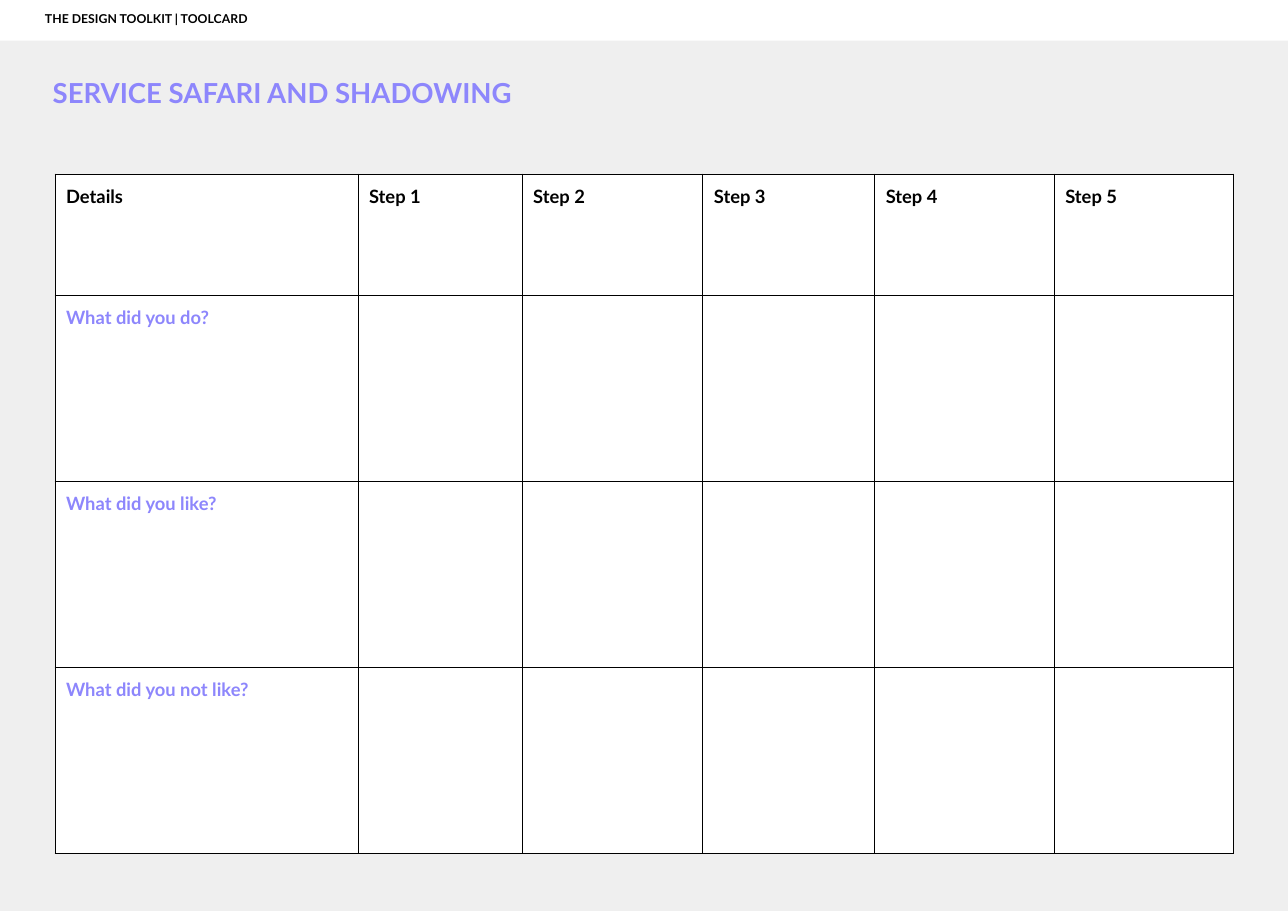
from dataclasses import dataclass

import lxml.etree
import pptx
import pptx.dml.color
import pptx.enum.shapes
import pptx.enum.text
import pptx.oxml.ns
import pptx.presentation
import pptx.shapes.autoshape
import pptx.slide
import pptx.table
import pptx.text.text
import pptx.util

EMU_PER_PX = 9144  # 100 px to the inch
SLIDE_WIDTH, SLIDE_HEIGHT = 1169, 827
INSET = 10
FONT_NAME = "Lato"

BLACK = pptx.dml.color.RGBColor(0x00, 0x00, 0x00)
WHITE = pptx.dml.color.RGBColor(0xFF, 0xFF, 0xFF)
GREY = pptx.dml.color.RGBColor(0xEF, 0xEF, 0xEF)
VIOLET = pptx.dml.color.RGBColor(0x8D, 0x86, 0xFC)

TABLE_LEFT, TABLE_TOP = 50, 158
COLUMN_WIDTHS = [275, 149, 164, 156, 163, 163]
ROW_HEIGHTS = [110, 169, 169, 169]
HEADINGS = ["Details"] + [f"Step {number}" for number in range(1, 6)]
QUESTIONS = ["What did you do?", "What did you like?", "What did you not like?"]


@dataclass(frozen=True)
class Box:
    left: int
    top: int
    width: int
    height: int


@dataclass(frozen=True)
class Label:
    text: str
    size: int
    color: pptx.dml.color.RGBColor
    indent: int = 0


def px(length: int) -> pptx.util.Emu:
    return pptx.util.Emu(length * EMU_PER_PX)


def write_label(frame: pptx.text.text.TextFrame, label: Label) -> None:
    paragraph = frame.paragraphs[0]
    paragraph.text = label.text
    paragraph.alignment = pptx.enum.text.PP_ALIGN.LEFT
    paragraph.font.name = FONT_NAME
    paragraph.font.size = pptx.util.Pt(label.size)
    paragraph.font.bold = True
    paragraph.font.color.rgb = label.color
    if label.indent:
        properties = paragraph._p.get_or_add_pPr()
        properties.set("marL", str(px(label.indent)))
        properties.set("indent", "0")


def fill_text_frame(frame: pptx.text.text.TextFrame, label: Label) -> None:
    frame.word_wrap = True
    frame.vertical_anchor = pptx.enum.text.MSO_ANCHOR.TOP
    frame.margin_left = frame.margin_right = px(INSET)
    frame.margin_top = frame.margin_bottom = px(INSET)
    write_label(frame, label)


def add_panel(
    slide: pptx.slide.Slide, box: Box, color: pptx.dml.color.RGBColor
) -> pptx.shapes.autoshape.Shape:
    shape = slide.shapes.add_shape(
        pptx.enum.shapes.MSO_SHAPE.RECTANGLE,
        px(box.left), px(box.top), px(box.width), px(box.height),
    )
    shape.shadow.inherit = False
    shape.fill.solid()
    shape.fill.fore_color.rgb = color
    shape.line.fill.background()
    return shape


def add_title(slide: pptx.slide.Slide, box: Box, label: Label) -> None:
    shape = slide.shapes.add_textbox(
        px(box.left), px(box.top), px(box.width), px(box.height)
    )
    fill_text_frame(shape.text_frame, label)


def style_cell(cell: pptx.table._Cell) -> None:
    cell.margin_left = cell.margin_right = px(INSET)
    cell.margin_top = cell.margin_bottom = px(INSET)
    # Borders come before the fill in the cell properties
    properties = cell._tc.get_or_add_tcPr()
    qualify = pptx.oxml.ns.qn
    for side in ("a:lnL", "a:lnR", "a:lnT", "a:lnB"):
        border = lxml.etree.SubElement(
            properties, qualify(side), w=str(pptx.util.Pt(0.75))
        )
        solid = lxml.etree.SubElement(border, qualify("a:solidFill"))
        lxml.etree.SubElement(solid, qualify("a:srgbClr"), val=str(BLACK))
    cell.fill.solid()
    cell.fill.fore_color.rgb = WHITE


def add_step_table(slide: pptx.slide.Slide) -> None:
    table = slide.shapes.add_table(
        len(ROW_HEIGHTS), len(COLUMN_WIDTHS), px(TABLE_LEFT), px(TABLE_TOP),
        px(sum(COLUMN_WIDTHS)), px(sum(ROW_HEIGHTS)),
    ).table
    table.first_row = table.horz_banding = False
    for column, width in zip(table.columns, COLUMN_WIDTHS):
        column.width = px(width)
    for row, height in zip(table.rows, ROW_HEIGHTS):
        row.height = px(height)
    for cell in table.iter_cells():
        style_cell(cell)
    for index, heading in enumerate(HEADINGS):
        write_label(table.cell(0, index).text_frame, Label(heading, 12, BLACK))
    for index, question in enumerate(QUESTIONS, start=1):
        write_label(table.cell(index, 0).text_frame, Label(question, 12, VIOLET))


def main() -> None:
    presentation = pptx.Presentation()
    presentation.slide_width = px(SLIDE_WIDTH)
    presentation.slide_height = px(SLIDE_HEIGHT)
    slide = presentation.slides.add_slide(presentation.slide_layouts[6])

    # Page background
    add_panel(slide, Box(0, 0, SLIDE_WIDTH, SLIDE_HEIGHT), GREY)

    # Observation grid and its title
    add_step_table(slide)
    title = Label("SERVICE SAFARI AND SHADOWING", 18, VIOLET, indent=38)
    add_title(slide, Box(0, 59, 664, 51), title)

    # Header strip
    header = add_panel(slide, Box(0, 0, SLIDE_WIDTH, 37), WHITE)
    header_label = Label("THE DESIGN TOOLKIT | TOOLCARD", 8, BLACK, indent=31)
    fill_text_frame(header.text_frame, header_label)

    presentation.save("out.pptx")


if __name__ == "__main__":
    main()
